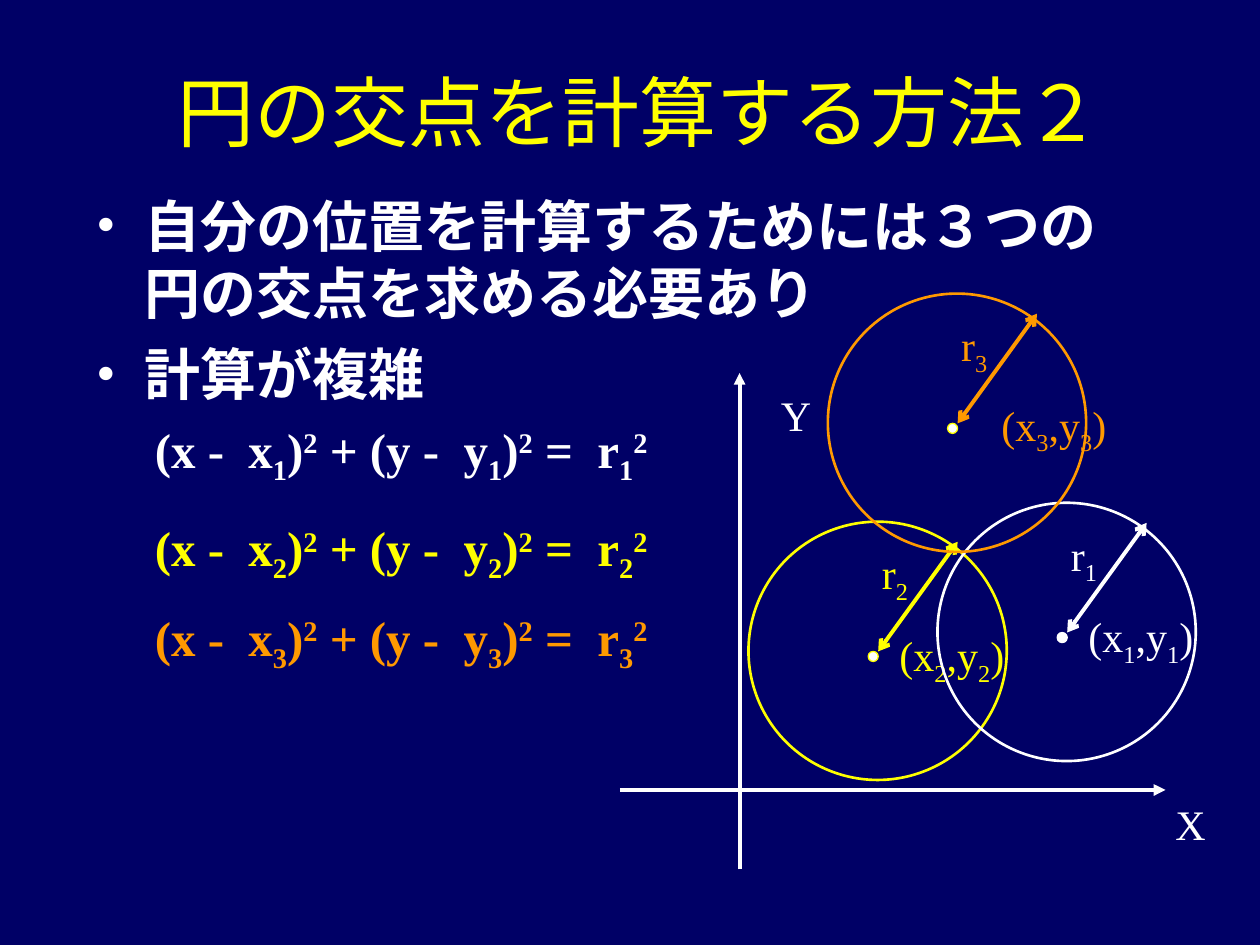
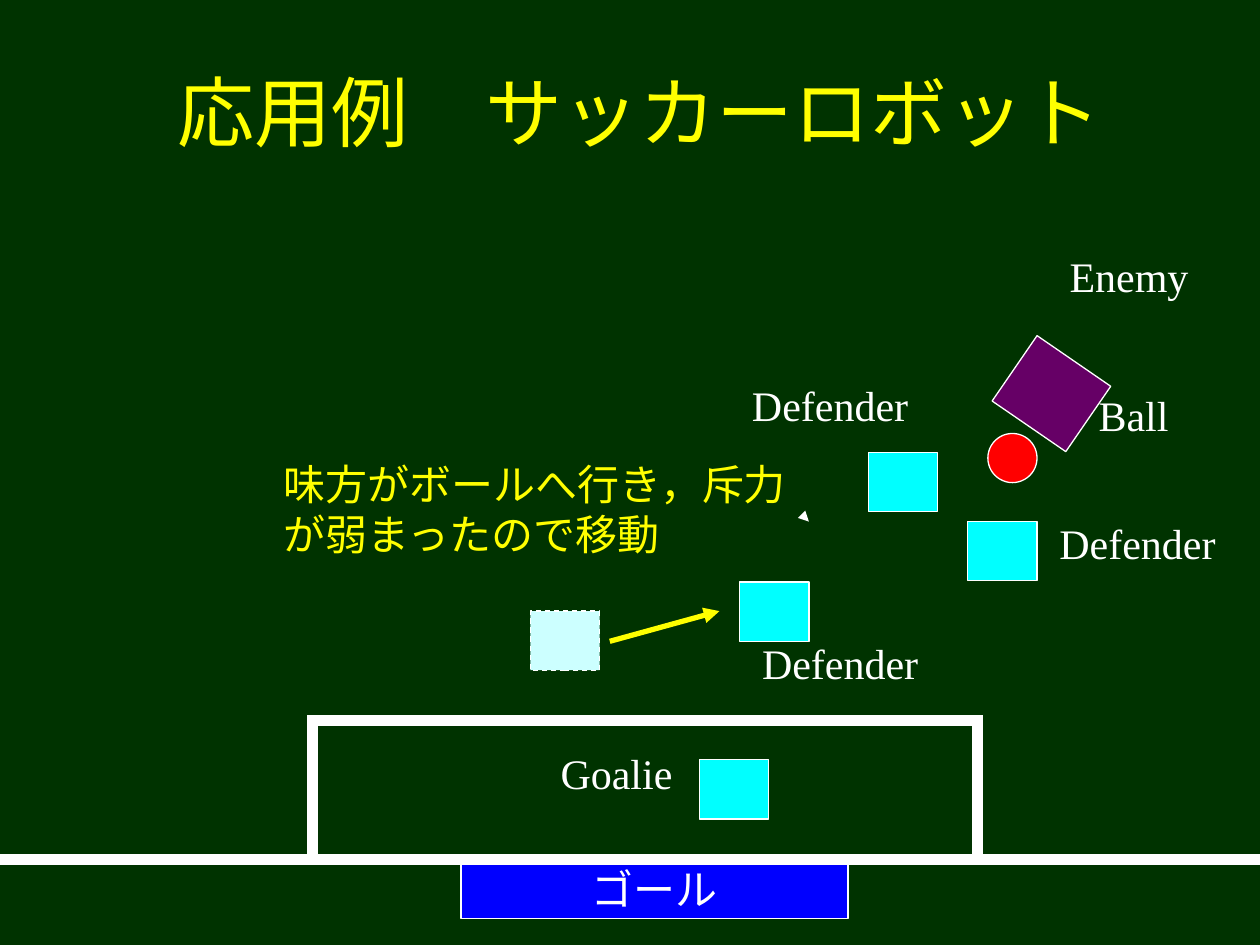
from lxml.etree import SubElement
from pptx import Presentation
from pptx.dml.color import RGBColor
from pptx.enum.dml import MSO_LINE
from pptx.enum.lang import MSO_LANGUAGE_ID as Language
from pptx.enum.shapes import MSO_CONNECTOR, MSO_SHAPE as Shape
from pptx.enum.text import MSO_ANCHOR as Anchor, MSO_AUTO_SIZE as AutoSize, PP_ALIGN as Align
from pptx.oxml.ns import qn
from pptx.util import Inches, Pt

# Shared style
FONT = "Times New Roman"
WHITE, YELLOW, ORANGE = "FFFFFF", "FFFF00", "FF9900"
CYAN, PALE_CYAN, RED, PURPLE, BLUE = "00FFFF", "CCFFFF", "FF0000", "660066", "0000FF"
NAVY, DARK_GREEN = "000066", "003300"
TITLE_AREA = (0.83, 0.25, 8.5, 1.25)
BASELINES = {"_": "-25000", "^": "30000"}

# Content of the circle slide; _ lowers and ^ raises the next character
CIRCLE_TITLE = "円の交点を計算する方法２"
BULLETS = ["自分の位置を計算するためには３つの円の交点を求める必要あり", "計算が複雑"]
FORMULA = "(x -  x_{n})^2 + (y -  y_{n})^2 =  r_{n}^2"
FORMULAS = [(1, 3.28, WHITE), (2, 4.06, YELLOW), (3, 4.77, ORANGE)]
AXES = [((4.92, 6.27), (9.25, 6.27)), ((5.87, 6.9), (5.87, 2.96))]
AXIS_LABELS = [("X", 9.23, 6.29), ("Y", 6.1, 3.04)]
# number, left, top, colour, dot outline, offset of the centre label
CIRCLES = [
    (2, 5.94, 4.14, YELLOW, YELLOW, (1.1, 0.81)),
    (1, 7.44, 3.99, WHITE, WHITE, (1.1, 0.81)),
    (3, 6.57, 2.33, ORANGE, YELLOW, (1.28, 0.79)),
]
DIAMETER, DOT = 2.05, 0.08

# Content of the soccer slide
SOCCER_TITLE = "応用例　サッカーロボット"
ROBOT_SIZE = (0.55, 0.47)
ROBOTS = [(6.89, 3.59), (5.55, 6.03), (7.68, 4.14), (5.87, 4.62)]
FORMER_PLACE = (4.21, 4.85)
GOAL_LINE = 6.82
PENALTY_AREA = (2.48, 5.72, 5.28, 1.1)
# text, left, top, width, height, colour
SOCCER_LABELS = [
    ("Enemy", 8.39, 1.94, 1.18, 0.5, WHITE),
    ("Ball", 8.62, 3.04, 0.79, 0.5, WHITE),
    ("味方がボールへ行き，斥力\nが弱まったので移動", 2.15, 3.59, 4.2, 0.9, YELLOW),
    ("Goalie", 4.35, 5.88, 1.12, 0.5, WHITE),
    ("Defender", 5.87, 2.96, 1.47, 0.5, WHITE),
    ("Defender", 8.31, 4.06, 1.47, 0.5, WHITE),
    ("Defender", 5.95, 5.01, 1.47, 0.5, WHITE),
]


def rgb(color):
    return RGBColor.from_string(color)


def inches(*lengths):
    return [Inches(length) for length in lengths]


def split_spans(text):
    """Split marked text into (piece, baseline) pairs."""
    spans, plain, mark = [], "", None
    for char in text:
        if mark:
            spans.append((char, BASELINES[mark]))
            mark = None
        elif char in BASELINES:
            if plain:
                spans.append((plain, None))
            plain, mark = "", char
        else:
            plain += char
    return spans + [(plain, None)] if plain else spans


def write(para, text, size, color, bold=False):
    for number, line in enumerate(text.split("\n")):
        if number:
            para.add_line_break()
        for piece, baseline in split_spans(line):
            span = para.add_run()
            span.text = piece
            font = span.font
            font.name, font.size, font.bold = FONT, Pt(size), bold
            font.color.rgb = rgb(color)
            if not piece.isascii():
                font.language_id = Language.JAPANESE
            if baseline:
                font._element.set("baseline", baseline)


def add_label(page, text, left, top, width, height, color, size=24, bold=False):
    box = page.shapes.add_textbox(*inches(left, top, width, height))
    frame = box.text_frame
    frame.word_wrap = False
    frame.auto_size = AutoSize.SHAPE_TO_FIT_TEXT
    write(frame.paragraphs[0], text, size, color, bold)


def add_figure(page, kind, left, top, width, height, fill=None, line=WHITE, weight=0.75):
    figure = page.shapes.add_shape(kind, *inches(left, top, width, height))
    figure.shadow.inherit = False
    if fill:
        figure.fill.solid()
        figure.fill.fore_color.rgb = rgb(fill)
    else:
        figure.fill.background()
    figure.line.color.rgb = rgb(line)
    figure.line.width = Pt(weight)
    return figure


def add_line(page, start, end, color, weight, head=None, tail=None):
    line = page.shapes.add_connector(MSO_CONNECTOR.STRAIGHT, *inches(*start, *end))
    line.line.color.rgb = rgb(color)
    line.line.width = Pt(weight)
    outline = line.line._get_or_add_ln()
    for tag, arrow in (("a:headEnd", head), ("a:tailEnd", tail)):
        if arrow:
            SubElement(outline, qn(tag), type=arrow)
    SubElement(line._element.spPr, qn("a:effectLst"))


def add_page(deck, title, background):
    page = deck.slides.add_slide(deck.slide_layouts[5])
    page.background.fill.solid()
    page.background.fill.fore_color.rgb = rgb(background)
    box = page.shapes.title
    box.left, box.top, box.width, box.height = inches(*TITLE_AREA)
    box.text_frame.vertical_anchor = Anchor.MIDDLE
    para = box.text_frame.paragraphs[0]
    para.alignment = Align.CENTER
    write(para, title, 44, YELLOW)
    return page


def add_bullets(page):
    frame = page.shapes.add_textbox(*inches(0.67, 1.47, 8.5, 5.17)).text_frame
    frame.word_wrap = True
    for number, text in enumerate(BULLETS):
        para = frame.add_paragraph() if number else frame.paragraphs[0]
        if number:
            para.space_before = Pt(8)
        properties = para._p.get_or_add_pPr()
        properties.set("marL", str(Inches(0.38)))
        properties.set("indent", str(-Inches(0.38)))
        bullet_color = SubElement(properties, qn("a:buClr"))
        SubElement(bullet_color, qn("a:srgbClr"), val=WHITE)
        SubElement(properties, qn("a:buFont"), typeface=FONT)
        SubElement(properties, qn("a:buChar"), char="•")
        write(para, text, 32, WHITE, bold=True)


def add_circle(page, number, left, top, color, dot_line, label_offset):
    def place(x, y):
        return left + x, top + y

    add_figure(page, Shape.OVAL, left, top, DIAMETER, DIAMETER, line=color, weight=1.5)
    add_figure(page, Shape.OVAL, *place(0.95, 1.03), DOT, DOT, WHITE, dot_line)
    add_label(page, f"(x_{number},y_{number})", *place(*label_offset), 1.03, 0.56, color)
    add_line(page, place(1.03, 1.03), place(1.66, 0.16), color, 2.25, "arrow", "arrow")
    add_label(page, f"r_{number}", *place(0.96, 0.16), 0.41, 0.56, color)


def build_circle_page(deck):
    page = add_page(deck, CIRCLE_TITLE, NAVY)
    add_bullets(page)
    for number, top, color in FORMULAS:
        add_label(page, FORMULA.format(n=number), 1.13, top, 4.11, 0.63, color, 28, True)
    for start, end in AXES:
        add_line(page, start, end, WHITE, 2.25, tail="triangle")
    for text, left, top in AXIS_LABELS:
        add_label(page, text, left, top, 0.44, 0.5, WHITE)
    for circle in CIRCLES:
        add_circle(page, *circle)


def build_soccer_page(deck):
    page = add_page(deck, SOCCER_TITLE, DARK_GREEN)

    # Enemy and ball
    add_figure(page, Shape.OVAL, 7.84, 3.44, 0.39, 0.39, RED)
    enemy = add_figure(page, Shape.RECTANGLE, 7.99, 2.81, 0.71, 0.63, PURPLE)
    enemy.rotation = 34.5

    # Goal and pitch lines
    goal = add_figure(page, Shape.RECTANGLE, 3.66, GOAL_LINE, 3.07, 0.47, BLUE)
    goal.text_frame.word_wrap = False
    goal.text_frame.vertical_anchor = Anchor.MIDDLE
    para = goal.text_frame.paragraphs[0]
    para.alignment = Align.CENTER
    write(para, "ゴール", 24, WHITE)
    add_line(page, (0, GOAL_LINE), (10, GOAL_LINE), WHITE, 6)
    penalty_area = add_figure(page, Shape.RECTANGLE, *PENALTY_AREA, weight=6)
    SubElement(penalty_area.line._get_or_add_ln(), qn("a:miter"), lim="800000")

    # Robots and the move of one defender
    for place in ROBOTS:
        add_figure(page, Shape.RECTANGLE, *place, *ROBOT_SIZE, CYAN)
    former = add_figure(page, Shape.RECTANGLE, *FORMER_PLACE, *ROBOT_SIZE, PALE_CYAN)
    former.line.dash_style = MSO_LINE.DASH
    add_line(page, (6.41, 4.13), (6.42, 4.14), WHITE, 0.75, tail="triangle")
    add_line(page, (4.84, 5.09), (5.71, 4.85), YELLOW, 3, tail="triangle")

    for label in SOCCER_LABELS:
        add_label(page, *label)


def main():
    deck = Presentation()
    deck.slide_width, deck.slide_height = inches(10, 7.5)
    build_circle_page(deck)
    build_soccer_page(deck)
    deck.save("out.pptx")


if __name__ == "__main__":
    main()
